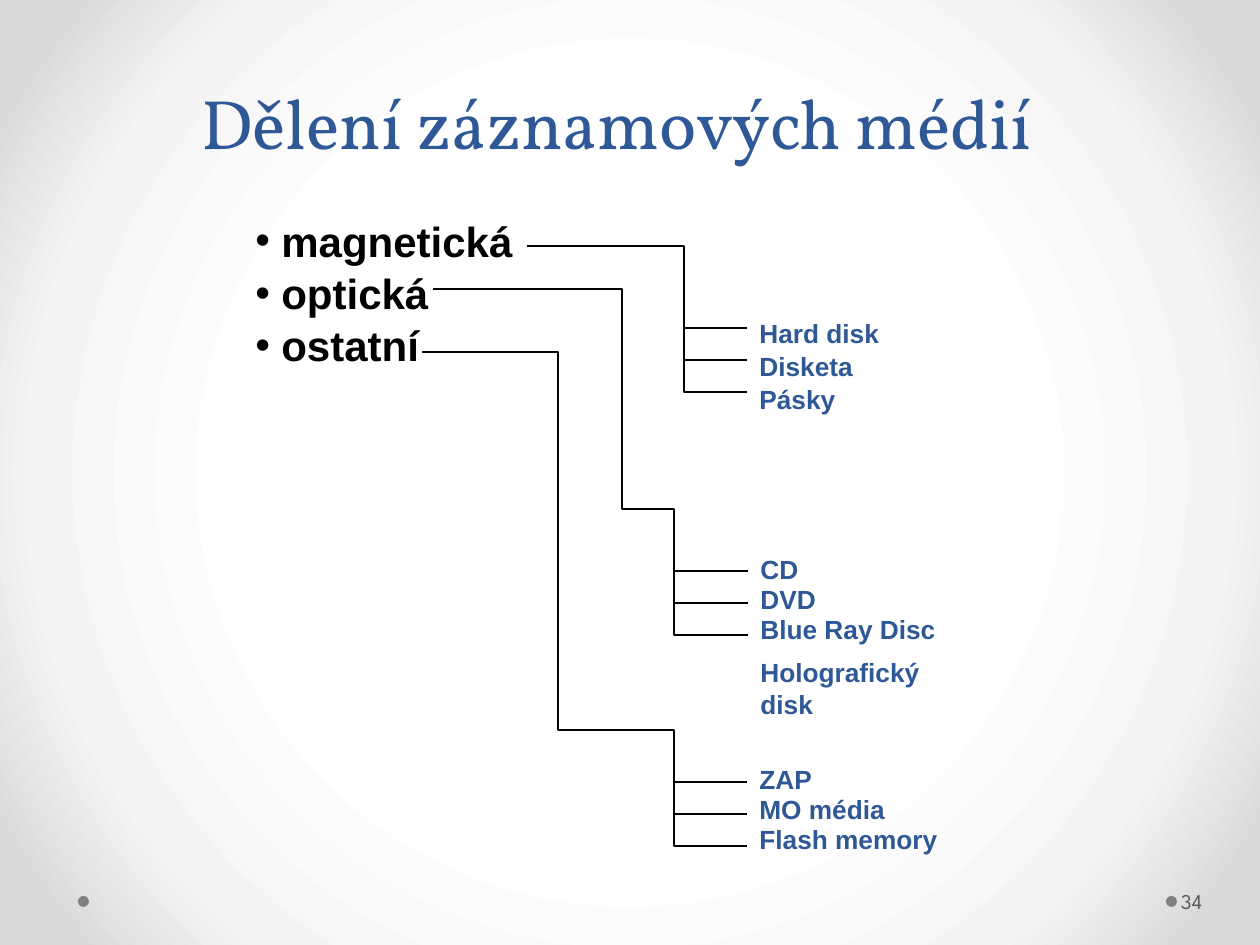
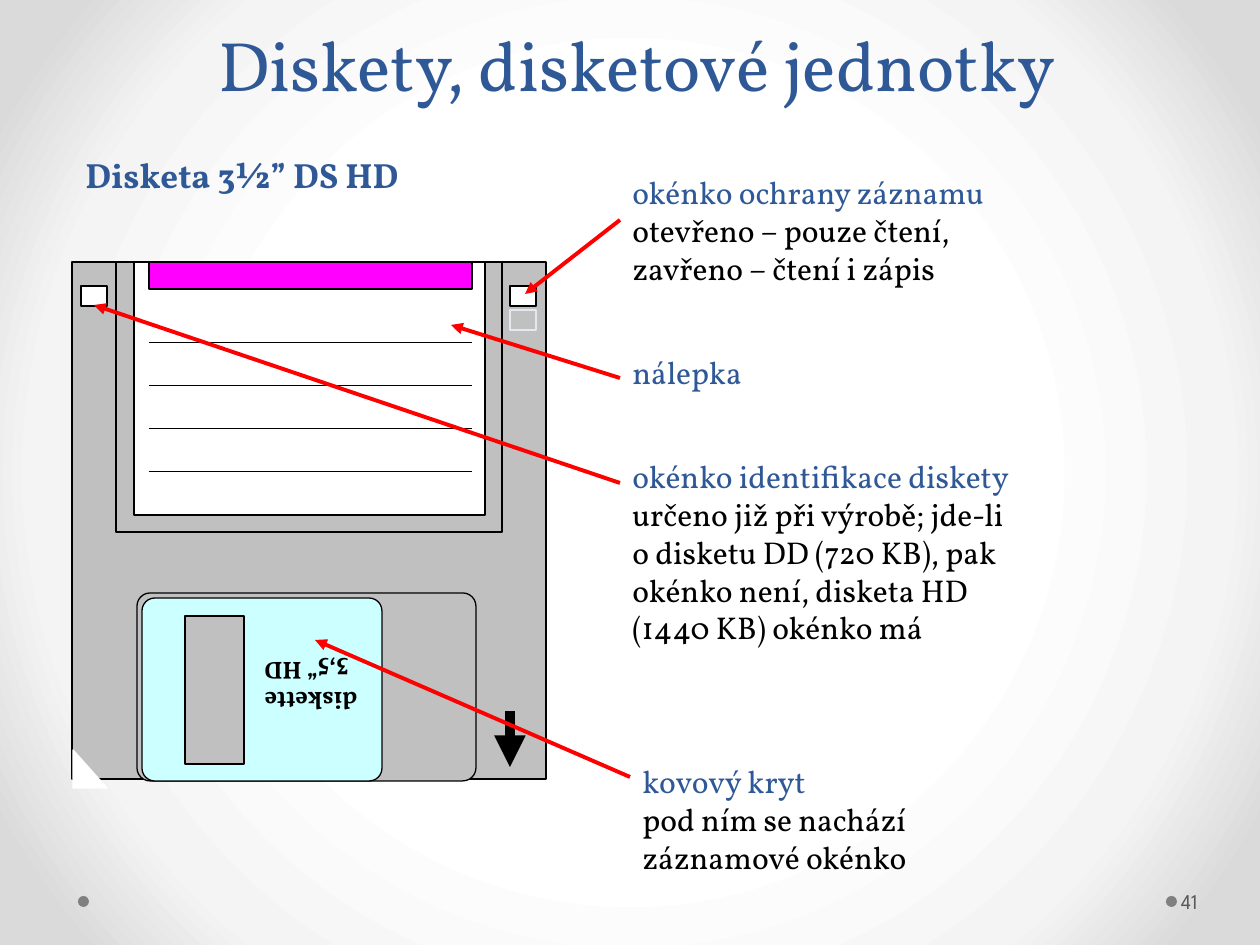
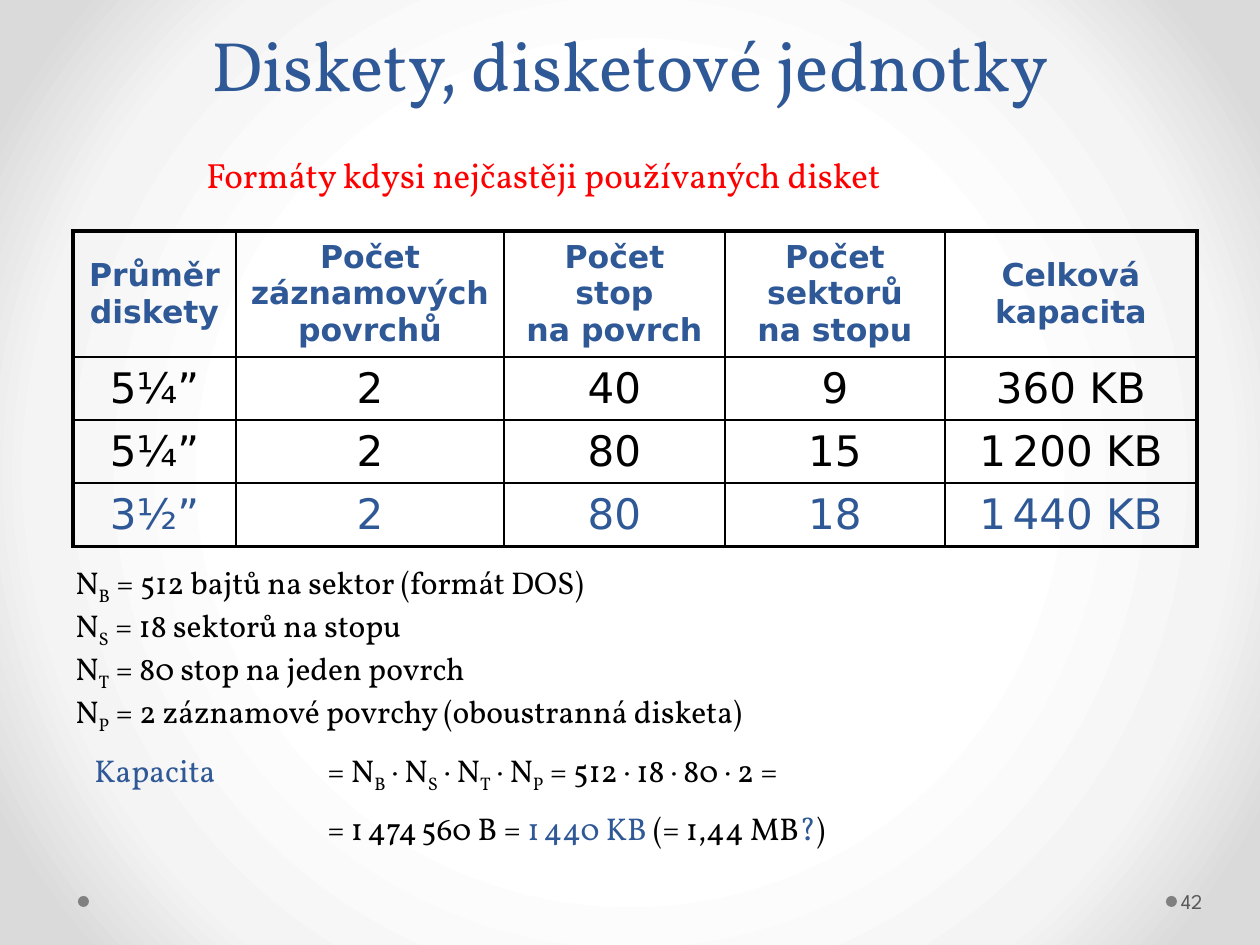
"""Builds three slides about recording media and floppy disks."""
from pptx import Presentation
from pptx.dml.color import RGBColor
from pptx.enum.shapes import MSO_CONNECTOR, MSO_SHAPE
from pptx.enum.text import MSO_ANCHOR, PP_ALIGN
from pptx.oxml import parse_xml
from pptx.oxml.ns import nsdecls
from pptx.util import Pt

PX = 914400 / 126
WIDTH, HEIGHT = 1260, 945
COLORS = {
    "blue": "2F5897", "black": "000000", "red": "FF0000", "white": "FFFFFF",
    "gray": "C0C0C0", "cyan": "CCFFFF", "magenta": "FF00FF", "pale": "E4E9EF",
    "dot": "808080", "number": "595959", "middle": "F4F4F4", "edge": "DADADA",
}
BACKGROUND_STOPS = [(50, "white"), (76, "middle"), (92, "edge")]
SERIF, SANS, TABLE_FONT, NUMBER_FONT = "Vollkorn", "Arial", "DejaVu Sans", "League Spartan"
TITLE = {"size": 40, "color": "blue"}
BODY = {"size": 18, "color": "black"}
MARKS = {"_": {"subscript": True}, "#": {"color": "blue"}, "~": {"size": 12}}

MEDIA_KINDS = ["magnetická", "optická", "ostatní"]
TICK_STEP = 32
TIGHT = {"spacing": 0.5, "space": 8}
BRANCHES = [
    {"route": [(527, 246), (684, 246), (684, 392), (747, 392)],
     "box": (747, 310, 222, 107), "spacing": 1.04,
     "labels": ["Hard disk", "Disketa", "Pásky"]},
    {"route": [(433, 289), (622, 289), (622, 509), (674, 509), (674, 635), (748, 635)],
     "box": (748, 561, 210, 170), **TIGHT,
     "labels": ["CD", "DVD", "Blue Ray Disc", ("Holografický disk", {"spacing": 1.0})]},
    {"route": [(422, 352), (558, 352), (558, 730), (674, 730), (674, 846), (747, 846)],
     "box": (747, 771, 210, 92), **TIGHT,
     "labels": ["ZAP", "MO média", "Flash memory"]},
]

RECTANGLE, ROUNDED = MSO_SHAPE.RECTANGLE, MSO_SHAPE.ROUNDED_RECTANGLE
WINDOW = {"line": "black", "line_width": 1.5}
DISK_PARTS = [
    (RECTANGLE, (72, 262, 474, 517), "gray", {}),
    (RECTANGLE, (81, 286, 26, 20), "white", WINDOW),
    (RECTANGLE, (116, 262, 386, 270), "gray", {}),
    (MSO_SHAPE.RIGHT_TRIANGLE, (73, 750, 34, 38), "white", {"line": "white"}),
    (ROUNDED, (137, 593, 339, 188), "gray", {"radius": 0.07}),
    (ROUNDED, (142, 598, 240, 183), "cyan", {"radius": 0.07}),
    (RECTANGLE, (185, 616, 59, 148), "gray", {}),
    (RECTANGLE, (134, 262, 351, 253), "white", {}),
    (RECTANGLE, (149, 262, 323, 27), "magenta", {}),
    (RECTANGLE, (510, 286, 26, 20), "white", WINDOW),
    (RECTANGLE, (510, 310, 26, 20), None, {**WINDOW, "line": "pale"}),
]
LABEL_LEFT, LABEL_RIGHT, LABEL_FIRST, LABEL_STEP, LABEL_LINES = 149, 472, 342, 43, 4
CALLOUTS = [
    ((620, 167, 566, 164), (620, 220), (525, 294),
     ["okénko ochrany záznamu", "otevřeno – pouze čtení,", "zavřeno – čtení i zápis"]),
    ((620, 347, 190, 62), (620, 378), (451, 325), ["nálepka"]),
    ((620, 451, 611, 265), (620, 483), (94, 305),
     ["okénko identifikace diskety", "určeno již při výrobě; jde-li",
      "o disketu DD (720 KB), pak", "okénko není, disketa HD", "(1440 KB) okénko má"]),
    ((630, 756, 433, 164), (630, 777), (315, 640),
     ["kovový kryt", "pod ním se nachází", "záznamové okénko"]),
]

TABLE_BOX = (73, 231, 1124, 315)
COLUMN_WIDTHS = [163, 268, 221, 220, 252]
ROW_HEIGHTS = [126, 63, 63, 63]
HEADERS = [
    ["Průměr", "diskety"], ["Počet", "záznamových", "povrchů"],
    ["Počet", "stop", "na povrch"], ["Počet", "sektorů", "na stopu"],
    ["Celková", "kapacita"],
]
FORMATS = [
    ["5¼”", "2", "40", "9", "360 KB"],
    ["5¼”", "2", "80", "15", "1|~ |200 KB"],
    ["3½”", "2", "80", "18", "1|~ |440 KB"],
]
CAPACITY = [
    "N|_B| = 512 bajtů na sektor (formát DOS)",
    "N|_S| = 18 sektorů na stopu",
    "N|_T| = 80 stop na jeden povrch",
    "N|_P| = 2 záznamové povrchy (oboustranná disketa)",
    ("#Kapacita|\t= N|_B| · N|_S| · N|_T| · N|_P| = 512 · 18 · 80 · 2 =",
     {"space": 9, "margin": 252, "indent": -233}),
    ("= 1|~ |474|~ |560 B = |#1|~ |#440 KB |(= 1,44 MB|#?|)",
     {"space": 9, "margin": 252}),
]


def emu(pixels):
    """Turn pixels into EMU."""
    return round(pixels * PX)


def rgb(name):
    """Look up a named colour."""
    return RGBColor.from_string(COLORS[name])


def style_run(run, size, color, font, bold, subscript=False):
    """Format one run."""
    run.font.size = Pt(size)
    run.font.name = font
    run.font.bold = bold
    run.font.color.rgb = rgb(color)
    if subscript:
        run._r.get_or_add_rPr().set("baseline", "-25000")


def write_paragraph(paragraph, text, size, color, font=SERIF, bold=False, align=None,
                    spacing=None, space=0, margin=0, indent=0, bullet=None):
    """Write marked text into a paragraph."""
    paragraph.alignment = align
    paragraph.space_before = Pt(space)
    if spacing:
        paragraph.line_spacing = spacing
    properties = paragraph._p.get_or_add_pPr()
    properties.set("marL", str(emu(margin)))
    properties.set("indent", str(emu(indent)))
    if bullet:
        properties.append(parse_xml(f'<a:buFont {nsdecls("a")} typeface="{font}"/>'))
        properties.append(parse_xml(f'<a:buChar {nsdecls("a")} char="{bullet}"/>'))
    base = {"size": size, "color": color, "font": font, "bold": bold}
    for piece in text.split("|"):
        mark = MARKS.get(piece[0], {})
        run = paragraph.add_run()
        run.text = piece[1:] if mark else piece
        style_run(run, **{**base, **mark})


def write_text(frame, lines, **text_format):
    """Fill a text frame; a line may carry its own format."""
    for index, line in enumerate(lines):
        text, own = (line, {}) if isinstance(line, str) else line
        merged = {**text_format, **own}
        if index == 0:
            merged["space"] = 0
        paragraph = frame.add_paragraph() if index else frame.paragraphs[0]
        write_paragraph(paragraph, text, **merged)


def add_text(slide, box, lines, anchor=MSO_ANCHOR.TOP, **text_format):
    """Add a wrapping text box."""
    shape = slide.shapes.add_textbox(*map(emu, box))
    shape.text_frame.word_wrap = True
    shape.text_frame.vertical_anchor = anchor
    write_text(shape.text_frame, lines, **text_format)
    return shape


def add_part(slide, kind, box, fill, line="black", line_width=0.75, radius=None):
    """Add a preset shape."""
    shape = slide.shapes.add_shape(kind, *map(emu, box))
    shape.shadow.inherit = False
    if radius:
        shape.adjustments[0] = radius
    if fill:
        shape.fill.solid()
        shape.fill.fore_color.rgb = rgb(fill)
    else:
        shape.fill.background()
    if line:
        shape.line.color.rgb = rgb(line)
        shape.line.width = Pt(line_width)
    else:
        shape.line.fill.background()


def add_line(slide, start, end, color="black", width=0.75, arrow=False):
    """Add a straight connector, with an arrowhead at its end if asked."""
    connector = slide.shapes.add_connector(
        MSO_CONNECTOR.STRAIGHT, *map(emu, (*start, *end)))
    connector.line.color.rgb = rgb(color)
    connector.line.width = Pt(width)
    if arrow:
        connector.line._get_or_add_ln().append(
            parse_xml(f'<a:tailEnd {nsdecls("a")} type="triangle"/>'))
    connector._element.spPr.append(parse_xml(f'<a:effectLst {nsdecls("a")}/>'))
    return connector


def add_route(slide, points):
    """Add an open bent line."""
    builder = slide.shapes.build_freeform(*points[0], scale=PX)
    builder.add_line_segments(points[1:], close=False)
    shape = builder.convert_to_shape()
    shape.shadow.inherit = False
    shape.fill.background()
    shape.line.color.rgb = rgb("black")
    shape.line.width = Pt(0.75)


def set_background(master):
    """Give the slide master the round gradient."""
    master.background.fill.solid()
    stops = "".join(
        f'<a:gs pos="{position * 1000}"><a:srgbClr val="{COLORS[color]}"/></a:gs>'
        for position, color in BACKGROUND_STOPS)
    gradient = parse_xml(
        f'<a:gradFill {nsdecls("a")} rotWithShape="1"><a:gsLst>{stops}</a:gsLst>'
        '<a:path path="circle"><a:fillToRect l="50000" t="50000" r="50000" b="50000"/>'
        '</a:path></a:gradFill>')
    properties = master.element.xpath(".//p:bgPr")[0]
    properties.replace(properties[0], gradient)


def new_slide(presentation, number, title, box, **title_format):
    """Add a slide with its title, footer dots and number."""
    slide = presentation.slides.add_slide(presentation.slide_layouts[6])
    for left in (1166, 78):
        add_part(slide, MSO_SHAPE.OVAL, (left, 896, 11, 11), "dot", line=None)
    add_text(slide, box, [title], **TITLE, **title_format)
    shape = add_text(slide, (1177, 876, 77, 50), [number], anchor=MSO_ANCHOR.MIDDLE,
                     size=12, color="number", font=NUMBER_FONT)
    shape.text_frame.margin_left = emu(4)
    shape.text_frame.margin_right = emu(6)
    return slide


def build_media_tree(presentation):
    """Build the slide that divides the media."""
    slide = new_slide(presentation, "34", "Dělení záznamových médií",
                      (189, 55, 1071, 132), anchor=MSO_ANCHOR.MIDDLE)
    add_text(slide, (243, 207, 290, 164), MEDIA_KINDS, size=24, color="black", font=SANS,
             bold=True, bullet="•", margin=26, indent=-26, spacing=1.04)
    for branch in BRANCHES:
        route = branch["route"]
        add_route(slide, route)
        spine, (tip, bottom) = route[-2][0], route[-1]
        for step in (1, 2):
            y = bottom - step * TICK_STEP
            add_line(slide, (spine, y), (tip, y))
        add_text(slide, branch["box"], branch["labels"], size=15, color="blue", font=SANS,
                 bold=True, spacing=branch["spacing"], space=branch.get("space", 0))


def build_disk(presentation):
    """Build the slide with the described floppy disk."""
    slide = new_slide(presentation, "41", "Diskety, disketové jednotky",
                      (44, 15, 1186, 97), align=PP_ALIGN.CENTER)
    for kind, box, fill, outline in DISK_PARTS:
        add_part(slide, kind, box, fill, **outline)
    for index in range(LABEL_LINES):
        y = LABEL_FIRST + index * LABEL_STEP
        add_line(slide, (LABEL_LEFT, y), (LABEL_RIGHT, y), width=0.25)
    add_line(slide, (510, 711), (510, 767), width=6, arrow=True)
    cover_text = add_text(slide, (252, 651, 141, 72), ["diskette", "3,5“ HD"], size=14,
                          color="black", bold=True, align=PP_ALIGN.RIGHT)
    cover_text.rotation = 180
    callout_boxes = []
    for box, start, target, (heading, *details) in CALLOUTS:
        lines = [(heading, {"color": "blue"}), *details]
        callout_boxes.append(add_text(slide, box, lines, **BODY))
    for callout, (box, start, target, lines) in zip(callout_boxes, CALLOUTS):
        arrow = add_line(slide, start, target, color="red", width=2.25, arrow=True)
        left, top, width, height = box
        if start == (left, top + height // 2):
            arrow.begin_connect(callout, 1)
    add_text(slide, (73, 147, 352, 55), ["Disketa 3½” DS HD"], size=20, color="blue",
             bold=True)


def set_borders(cell, widths):
    """Draw the four cell borders, given in points by side."""
    properties = cell._tc.get_or_add_tcPr()
    for index, (side, width) in enumerate(widths.items()):
        properties.insert(index, parse_xml(
            f'<a:ln{side} {nsdecls("a")} w="{Pt(width)}"><a:solidFill>'
            f'<a:srgbClr val="{COLORS["black"]}"/></a:solidFill></a:ln{side}>'))


def add_format_table(slide):
    """Add the table of disk formats."""
    rows = [HEADERS, *([[text] for text in row] for row in FORMATS)]
    last_row, last_column = len(rows) - 1, len(HEADERS) - 1
    table = slide.shapes.add_table(len(rows), len(HEADERS), *map(emu, TABLE_BOX)).table
    table.first_row = table.horz_banding = False
    for column, width in zip(table.columns, COLUMN_WIDTHS):
        column.width = emu(width)
    for row, height in zip(table.rows, ROW_HEIGHTS):
        row.height = emu(height)
    for i, row in enumerate(rows):
        for j, lines in enumerate(row):
            cell = table.cell(i, j)
            cell.fill.background()
            cell.vertical_anchor = MSO_ANCHOR.MIDDLE
            write_text(cell.text_frame, lines, size=24 if i else 18, font=TABLE_FONT,
                       color="blue" if i in (0, last_row) else "black", bold=i == 0,
                       align=PP_ALIGN.CENTER)
            outer = {"L": j == 0, "R": j == last_column, "T": i == 0, "B": i == last_row}
            set_borders(cell, {side: 2.25 if edge else 1 for side, edge in outer.items()})


def build_formats(presentation):
    """Build the slide with the formats and the capacity."""
    slide = new_slide(presentation, "42", "Diskety, disketové jednotky",
                      (63, 15, 1134, 97), align=PP_ALIGN.CENTER)
    add_text(slide, (194, 147, 719, 55), ["Formáty kdysi nejčastěji používaných disket"],
             size=20, color="red")
    add_format_table(slide)
    add_text(slide, (63, 557, 1134, 365), CAPACITY, **BODY)


def main():
    """Build and save the presentation."""
    presentation = Presentation()
    presentation.slide_width, presentation.slide_height = emu(WIDTH), emu(HEIGHT)
    set_background(presentation.slide_master)
    build_media_tree(presentation)
    build_disk(presentation)
    build_formats(presentation)
    presentation.save("out.pptx")


if __name__ == "__main__":
    main()
